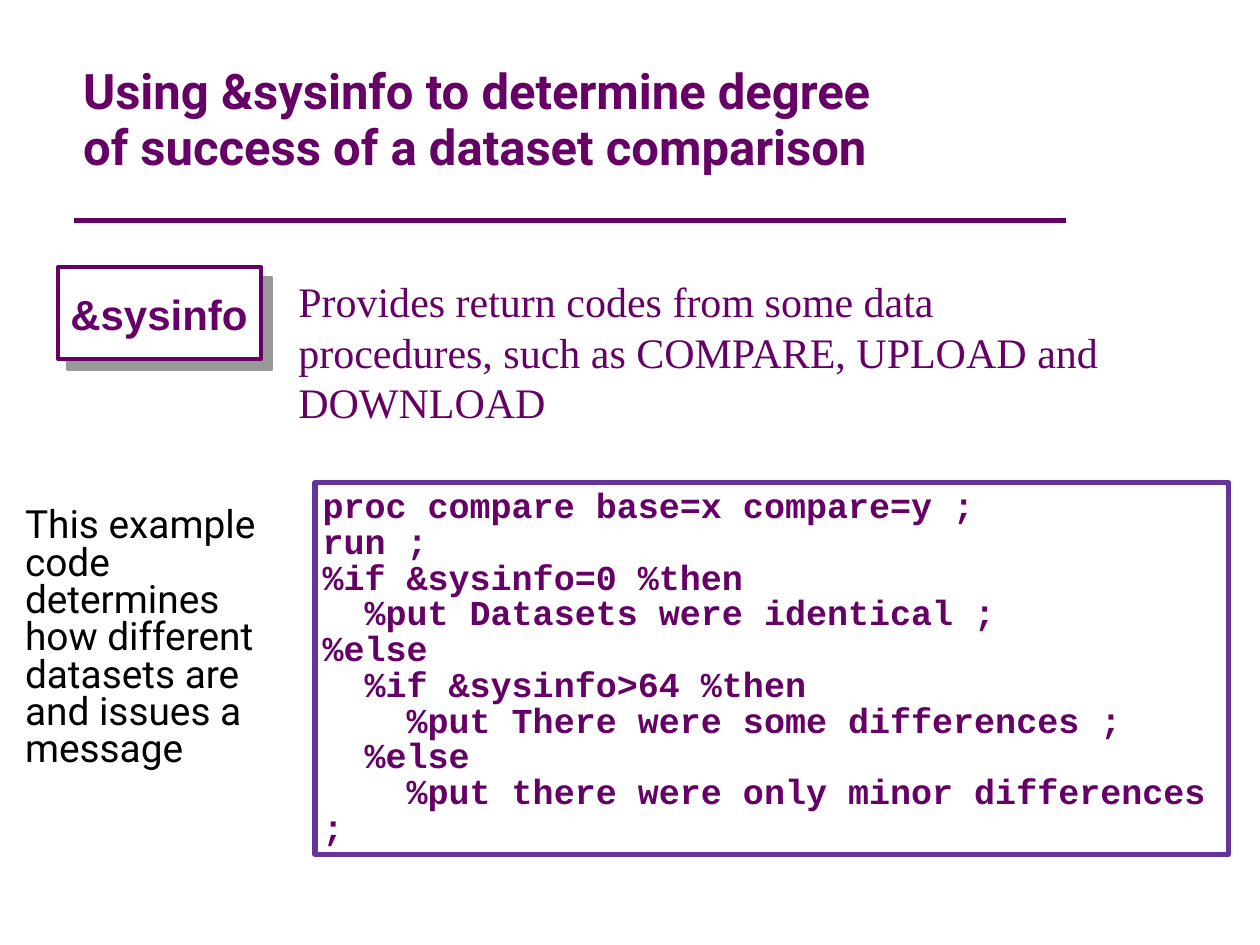
"""Build a slide on using &sysinfo to judge a dataset comparison."""
from dataclasses import dataclass

from lxml import etree
from pptx import Presentation
from pptx.dml.color import RGBColor as Rgb
from pptx.enum.shapes import MSO_CONNECTOR as Link, MSO_SHAPE as Form
from pptx.enum.text import MSO_ANCHOR as Anchor, MSO_AUTO_SIZE as Fit, PP_ALIGN as Align
from pptx.oxml.ns import qn
from pptx.util import Pt


@dataclass(frozen=True)
class Theme:
    plum: Rgb = Rgb(0x66, 0x00, 0x66)
    edge: Rgb = Rgb(0x66, 0x33, 0x99)
    ink: Rgb = Rgb(0, 0, 0)
    white: Rgb = Rgb(255, 255, 255)
    shade: str = "999999"
    head: float = 28
    text: float = 24
    note: float = 22.2
    code: float = 20


def write(shape, lines, face, size, color, bold=False, space=1, pad=(7.2, 3.6), wrap=True):
    frame = shape.text_frame
    frame.auto_size = Fit.NONE
    frame.word_wrap = wrap
    frame.vertical_anchor = Anchor.TOP
    frame.margin_left = frame.margin_right = Pt(pad[0])
    frame.margin_top = frame.margin_bottom = Pt(pad[1])
    for i, line in enumerate(lines):
        para = frame.add_paragraph() if i else frame.paragraphs[0]
        para.alignment = Align.LEFT
        para.line_spacing = space
        para.space_before = Pt(0)
        run = para.add_run()
        run.text = line
        font = run.font
        font.name, font.size, font.bold = face, Pt(size), bold
        font.color.rgb = color


def frame_box(x, y, w, h, edge, width):
    box = slide.shapes.add_shape(Form.RECTANGLE, Pt(x), Pt(y), Pt(w), Pt(h))
    box.shadow.inherit = False
    box.fill.solid()
    box.fill.fore_color.rgb = theme.white
    box.line.color.rgb = edge
    box.line.width = Pt(width)
    return box


theme = Theme()
deck = Presentation()
deck.slide_width, deck.slide_height = Pt(720), Pt(540)
slide = deck.slides.add_slide(deck.slide_layouts[5])

rule = slide.shapes.add_connector(Link.STRAIGHT, Pt(42.5), Pt(126), Pt(609), Pt(126))
rule.line.color.rgb = theme.plum
rule.line.width = Pt(3)
etree.SubElement(rule.element.spPr, qn("a:effectLst"))

title = slide.shapes.title
title.left, title.top, title.width, title.height = Pt(40.3), Pt(30.2), Pt(464.4), Pt(77.8)
write(title, ["Using &sysinfo to determine degree of success of a dataset comparison"],
      "Roboto", theme.head, theme.plum, bold=True, space=0.95)
title.text_frame.vertical_anchor = Anchor.MIDDLE

note = slide.shapes.add_textbox(Pt(7.2), Pt(287.3), Pt(157), Pt(193))
write(note, ["This example code determines how different datasets are and issues a message"],
      "Roboto", theme.note, theme.ink, space=0.8)

role = slide.shapes.add_textbox(Pt(163.4), Pt(154), Pt(475.2), Pt(93.6))
write(role, ["Provides return codes from some data procedures, such as COMPARE, UPLOAD and DOWNLOAD"],
      "Times New Roman", theme.text, theme.plum)

label = frame_box(33.1, 152.6, 116, 52.6, theme.plum, 2.25)
write(label, ["&sysinfo"], "Arial", theme.text, theme.plum, bold=True, pad=(7.2, 12.2), wrap=False)
glow = etree.SubElement(label.element.spPr.find(qn("a:effectLst")), qn("a:outerShdw"),
                        dist=str(Pt(8.5)), dir=str(45 * 60000), algn="ctr", rotWithShape="0")
etree.SubElement(glow, qn("a:srgbClr"), val=theme.shade)

code = [
    "proc compare base=x compare=y ;",
    "run ;",
    "%if &sysinfo=0 %then",
    "  %put Datasets were identical ;",
    "%else",
    "  %if &sysinfo>64 %then",
    "    %put There were some differences ;",
    "  %else",
    "    %put there were only minor differences ;",
]
panel = frame_box(180, 275.8, 522, 212.4, theme.edge, 3)
write(panel, code, "Courier New", theme.code, theme.plum, bold=True, space=0.85, pad=(4.3, 4.3))

deck.save("out.pptx")
